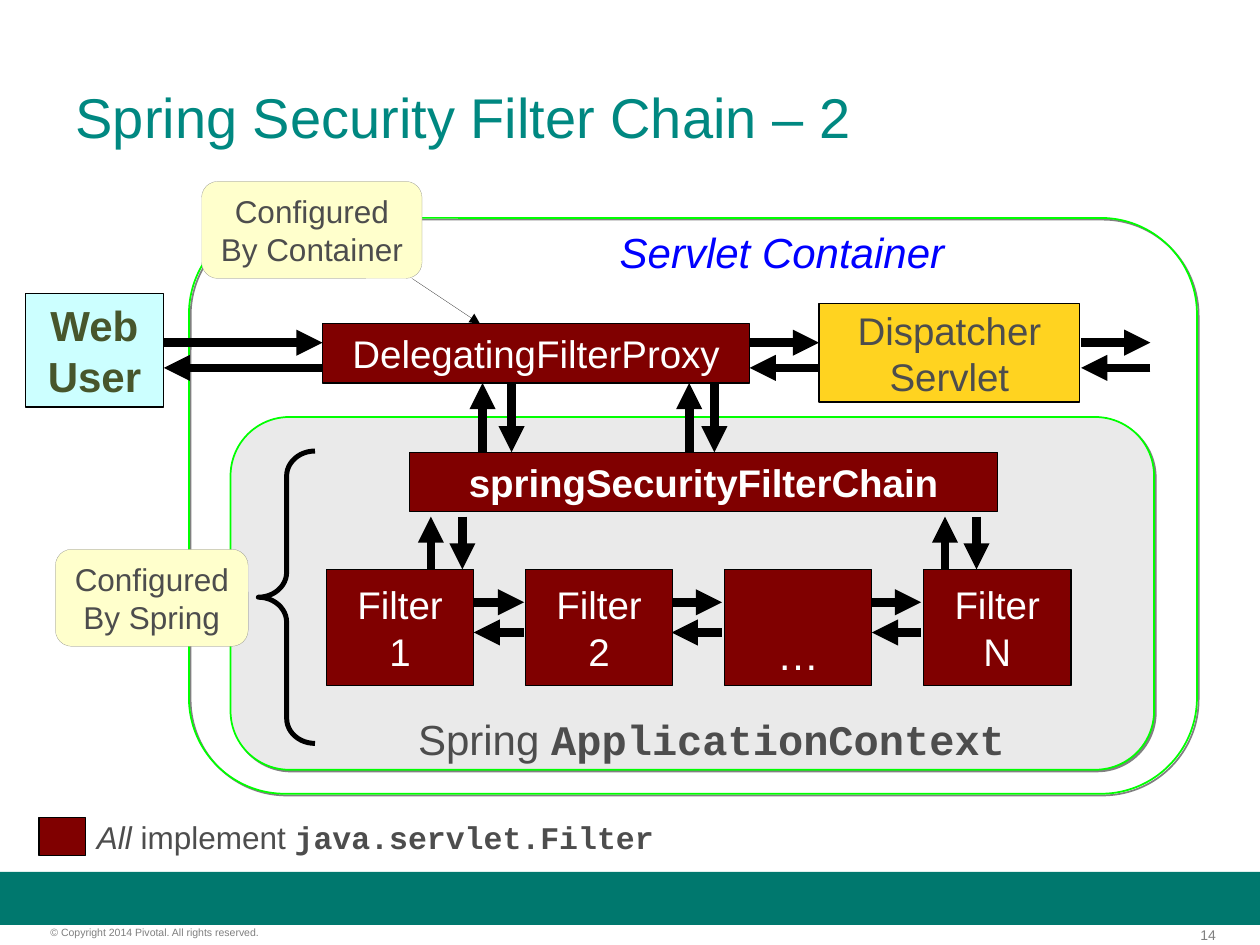
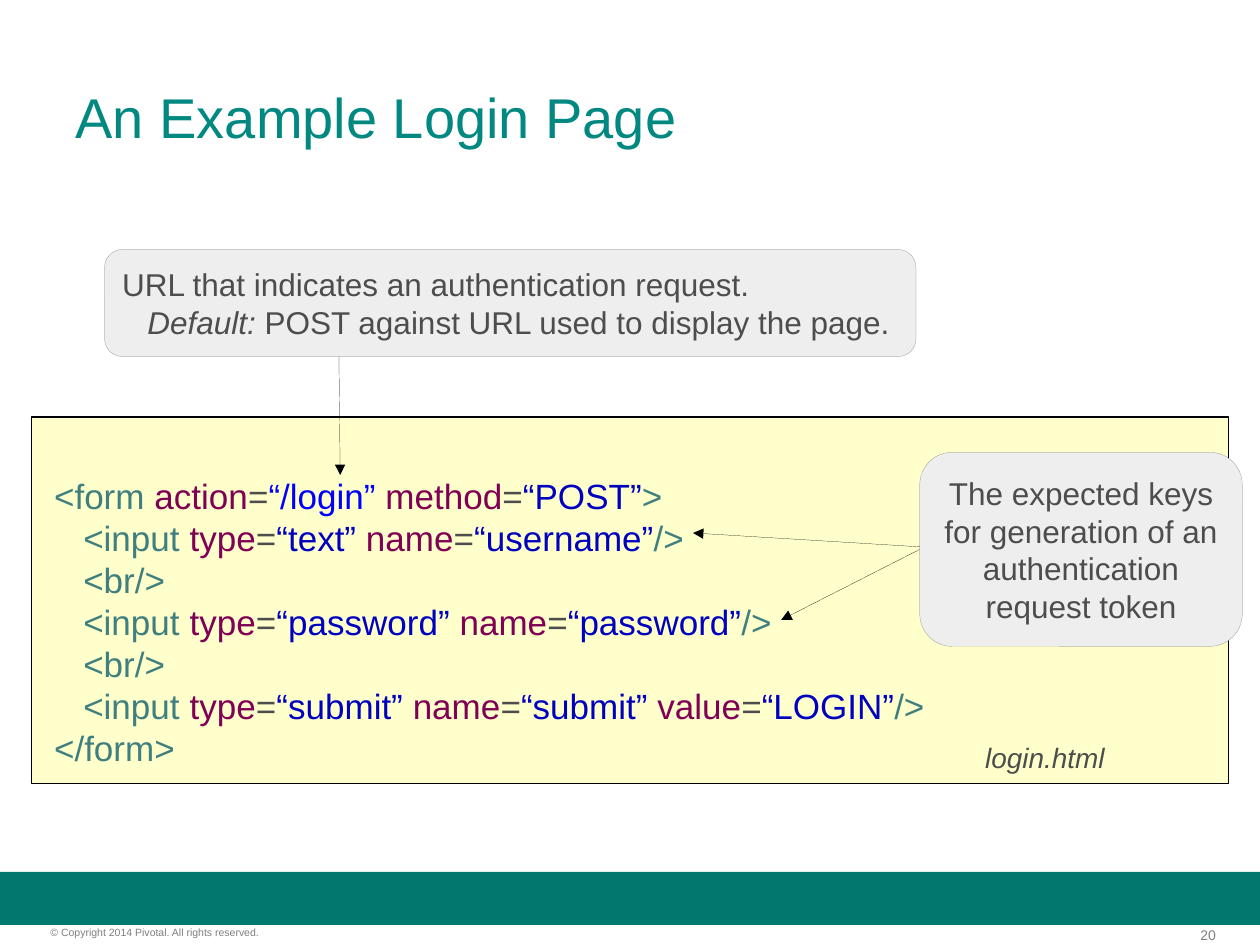
from lxml.etree import SubElement
from pptx import Presentation
from pptx.dml.color import RGBColor
from pptx.enum.shapes import MSO_CONNECTOR as CONNECTOR, MSO_SHAPE as SHAPE
from pptx.enum.text import MSO_ANCHOR as ANCHOR, PP_ALIGN as ALIGN
from pptx.oxml.ns import qn
from pptx.util import Inches, Pt

rgb = RGBColor.from_string

# Shared colours, fonts and line widths
TEAL, TITLE_TEAL = "00786E", "008881"
BLACK, WHITE, TEXT, GREY = "000000", "FFFFFF", "4D4D4D", "808080"
MAROON, CREAM, GREEN, BLUE = "800000", "FFFFCC", "00FF00", "0000FF"
FOOTER_GREY, CALLOUT_GREY = "7F7F7F", "EEEEEE"
TAG, ATTRIBUTE, VALUE = "3F7F7F", "7F0055", "0000C0"
SANS, MONO = "Arial", "Courier New"
HAIRLINE, THICK = 0.1, 5


def add_box(slide, kind, at, lines=(), fill=None, line=None, width=0.75, size=18,
            colour=TEXT, bold=False, italic=False, align=ALIGN.CENTER, wrap=False):
    """Add a preset shape, or a text box when kind is None.

    Each line is a string or a list of (text, style) runs.
    """
    place = [Inches(length) for length in at]
    if kind is None:
        shape = slide.shapes.add_textbox(*place)
    else:
        shape = slide.shapes.add_shape(kind, *place)
        shape.shadow.inherit = False
        if fill:
            shape.fill.solid()
            shape.fill.fore_color.rgb = rgb(fill)
        else:
            shape.fill.background()
        if line:
            shape.line.color.rgb = rgb(line)
            shape.line.width = Pt(width)
        else:
            shape.line.fill.background()
    frame = shape.text_frame
    frame.word_wrap = wrap
    for number, runs in enumerate(lines):
        paragraph = frame.add_paragraph() if number else frame.paragraphs[0]
        paragraph.alignment = align
        for text, style in [(runs, {})] if isinstance(runs, str) else runs:
            run = paragraph.add_run()
            run.text = text
            run.font.name = style.get("font", SANS)
            run.font.size = Pt(size)
            run.font.bold = style.get("bold", bold)
            run.font.italic = style.get("italic", italic)
            run.font.color.rgb = rgb(style.get("colour", colour))
    return shape


def add_arrow(slide, start_x, start_y, end_x, end_y, width):
    ends = [Inches(length) for length in (start_x, start_y, end_x, end_y)]
    arrow = slide.shapes.add_connector(CONNECTOR.STRAIGHT, *ends)
    arrow.line.color.rgb = rgb(BLACK)
    arrow.line.width = Pt(width)
    properties = arrow.element.spPr
    SubElement(properties.find(qn("a:ln")), qn("a:tailEnd"), type="triangle")
    SubElement(properties, qn("a:effectLst"))


presentation = Presentation()
presentation.slide_width, presentation.slide_height = Inches(10), Inches(7.5)

# Title, band and footer of both slides
slides = []
for title_text, page in [("Spring Security Filter Chain – 2", "14"),
                         ("An Example Login Page", "20")]:
    slide = presentation.slides.add_slide(presentation.slide_layouts[5])
    slides.append(slide)
    title = slide.shapes.title
    title.left, title.top = Inches(0.5), Inches(0.6)
    title.width, title.height = Inches(9), Inches(0.64)
    title.text_frame.text = title_text
    paragraph = title.text_frame.paragraphs[0]
    paragraph.alignment = ALIGN.LEFT
    font = paragraph.runs[0].font
    font.name, font.size = SANS, Pt(32)
    font.color.rgb = rgb(TITLE_TEAL)

    add_box(slide, SHAPE.RECTANGLE, (0, 6.92, 10, 0.42), fill=TEAL)
    for at, text, size, align in [
        ((9.3, 7.35, 0.35, 0.13), page, 8, ALIGN.RIGHT),
        ((0.4, 7.35, 2.49, 0.1), "© Copyright 2014 Pivotal. All rights reserved.", 6, ALIGN.LEFT),
    ]:
        footer = add_box(slide, None, at, [text], size=size, colour=FOOTER_GREY,
                         align=align, wrap=True)
        frame = footer.text_frame
        frame.margin_left = frame.margin_right = frame.margin_top = frame.margin_bottom = 0

chain_slide, login_slide = slides

# Slide 1: nested containers with a small offset shadow
for at, fill in [((1.83, 3.31, 7.33, 2.8), "EAEAEA"), ((1.5, 1.73, 8, 4.57), None)]:
    container = add_box(chain_slide, SHAPE.ROUNDED_RECTANGLE, at, fill=fill, line=GREEN, width=1)
    effects = container.element.spPr.find(qn("a:effectLst"))
    shadow = SubElement(effects, qn("a:outerShdw"), dist=str(Pt(1.4)), dir="2700000",
                        algn="ctr", rotWithShape="0")
    SubElement(shadow, qn("a:srgbClr"), val=GREY)

add_box(chain_slide, None, (4.82, 1.75, 3.2, 0.5), ["Servlet Container"], size=24,
        colour=BLUE, italic=True, align=ALIGN.LEFT, wrap=True)
code_style = {"font": MONO, "bold": True}
add_box(chain_slide, None, (3.22, 5.61, 5.3, 0.5),
        [[("Spring ", {}), ("ApplicationContext", code_style)]],
        size=24, align=ALIGN.LEFT, wrap=True)

# Request and response arrows: right above left
request_row, filter_row = (2.72, 2.92), (4.78, 5.02)
for left, right, (request_y, response_y) in [
    (1.3, 2.56, request_row), (5.95, 6.5, request_row), (8.58, 9.13, request_row),
    (3.76, 4.16, filter_row), (5.33, 5.73, filter_row), (6.92, 7.31, filter_row),
]:
    add_arrow(chain_slide, left, request_y, right, request_y, THICK)
    add_arrow(chain_slide, right, response_y, left, response_y, THICK)

# Arrows between the levels: up beside down
proxy_gap, filter_gap = (3.04, 3.59), (4.1, 4.52)
for up_x, down_x, (top, bottom) in [
    (3.83, 4.06, proxy_gap), (5.47, 5.67, proxy_gap),
    (3.42, 3.67, filter_gap), (7.5, 7.75, filter_gap),
]:
    add_arrow(chain_slide, up_x, bottom, up_x, top, THICK)
    add_arrow(chain_slide, down_x, top, down_x, bottom, THICK)

# Components
for at, lines, fill, size, colour, bold in [
    ((0.2, 2.33, 1.1, 0.9), ["Web", "User"], "CCFFFF", 24, "47562C", True),
    ((6.5, 2.41, 2.07, 0.78), ["Dispatcher", "Servlet"], "FFD320", 22, TEXT, False),
    ((2.56, 2.57, 3.39, 0.47), ["DelegatingFilterProxy"], MAROON, 22, WHITE, False),
    ((3.25, 3.59, 4.67, 0.47), ["springSecurityFilterChain"], MAROON, 22, WHITE, True),
]:
    add_box(chain_slide, SHAPE.RECTANGLE, at, lines, fill=fill, line=BLACK,
            size=size, colour=colour, bold=bold)

# Row of filters
for index, label in enumerate(["1", "2", "…", "N"]):
    more = label == "…"
    filter_box = add_box(chain_slide, SHAPE.RECTANGLE, (2.59 + 1.58 * index, 4.52, 1.17, 0.92),
                         [label] if more else ["Filter", label], fill=MAROON, line=BLACK,
                         size=24 if more else 22, colour=WHITE)
    if more:
        filter_box.text_frame.vertical_anchor = ANCHOR.BOTTOM

# Legend
add_box(chain_slide, SHAPE.RECTANGLE, (0.31, 6.49, 0.37, 0.3), fill=MAROON, line=BLACK)
add_box(chain_slide, None, (0.67, 6.44, 5, 0.4),
        [[("All", {"italic": True}), (" implement ", {}), ("java.servlet.Filter", code_style)]],
        align=ALIGN.LEFT, wrap=True)

# Callouts with brace and pointer
brace = add_box(chain_slide, SHAPE.LEFT_BRACE, (2.05, 3.58, 0.45, 2.32), line=BLACK, width=2.83)
brace.adjustments[0] = 0.44
for at, configurer in [((0.44, 4.36, 1.53, 0.77), "By Spring"),
                       ((1.6, 1.44, 1.75, 0.77), "By Container")]:
    add_box(chain_slide, SHAPE.ROUNDED_RECTANGLE, at, ["Configured", configurer],
            fill=CREAM, line=GREY, width=HAIRLINE)
add_arrow(chain_slide, 3.27, 2.21, 3.81, 2.57, HAIRLINE)

# Slide 2: markup as (opening, attributes, closing), coloured by role
markup = [
    ("<form", [("action", "/login"), ("method", "POST")], ">"),
    ("   <input", [("type", "text"), ("name", "username")], "/>"),
    ("   <br", [], "/>"),
    ("   <input", [("type", "password"), ("name", "password")], "/>"),
    ("   <br", [], "/>"),
    ("   <input", [("type", "submit"), ("name", "submit"), ("value", "LOGIN")], "/>"),
    ("</form", [], ">"),
]
code_lines = []
for opening, attributes, closing in markup:
    runs = [(opening, {"colour": TAG})]
    for name, value in attributes:
        value_colour = BLUE if value == "/login" else VALUE
        runs += [(f" {name}", {"colour": ATTRIBUTE}), ("=", {}),
                 (f"“{value}”", {"colour": value_colour})]
    code_lines.append(runs + [(closing, {"colour": TAG})])

code_box = add_box(login_slide, SHAPE.RECTANGLE, (0.25, 3.31, 9.5, 2.91), code_lines,
                   fill=CREAM, line=BLACK, width=1, size=20, align=ALIGN.LEFT, wrap=True)
code_box.text_frame.vertical_anchor = ANCHOR.BOTTOM
code_box.text_frame.margin_left = Inches(0.18)
code_box.text_frame.margin_bottom = Inches(0.12)
add_box(login_slide, None, (7.72, 5.83, 2.05, 0.38), ["login.html"], size=16,
        italic=True, align=ALIGN.LEFT, wrap=True)

# Callouts and their pointers
url_lines = ["URL that indicates an authentication request.",
             [("Default:", {"italic": True}), (" POST against URL used to display the page.", {})]]
for at, lines, align in [
    ((0.83, 1.98, 6.44, 0.85), url_lines, ALIGN.LEFT),
    ((7.3, 3.59, 2.56, 1.54),
     ["The expected keys for generation of an authentication request token"], ALIGN.CENTER),
]:
    callout = add_box(login_slide, SHAPE.ROUNDED_RECTANGLE, at, lines, fill=CALLOUT_GREY,
                      line=GREY, width=HAIRLINE, align=align, wrap=True)
    for paragraph in callout.text_frame.paragraphs[1:]:
        paragraph._p.get_or_add_pPr().set("marL", str(Inches(0.2)))
for ends in [(2.69, 2.83, 2.7, 3.77), (7.3, 4.34, 5.5, 4.23), (7.3, 4.36, 6.2, 4.92)]:
    add_arrow(login_slide, *ends, HAIRLINE)

presentation.save("out.pptx")
